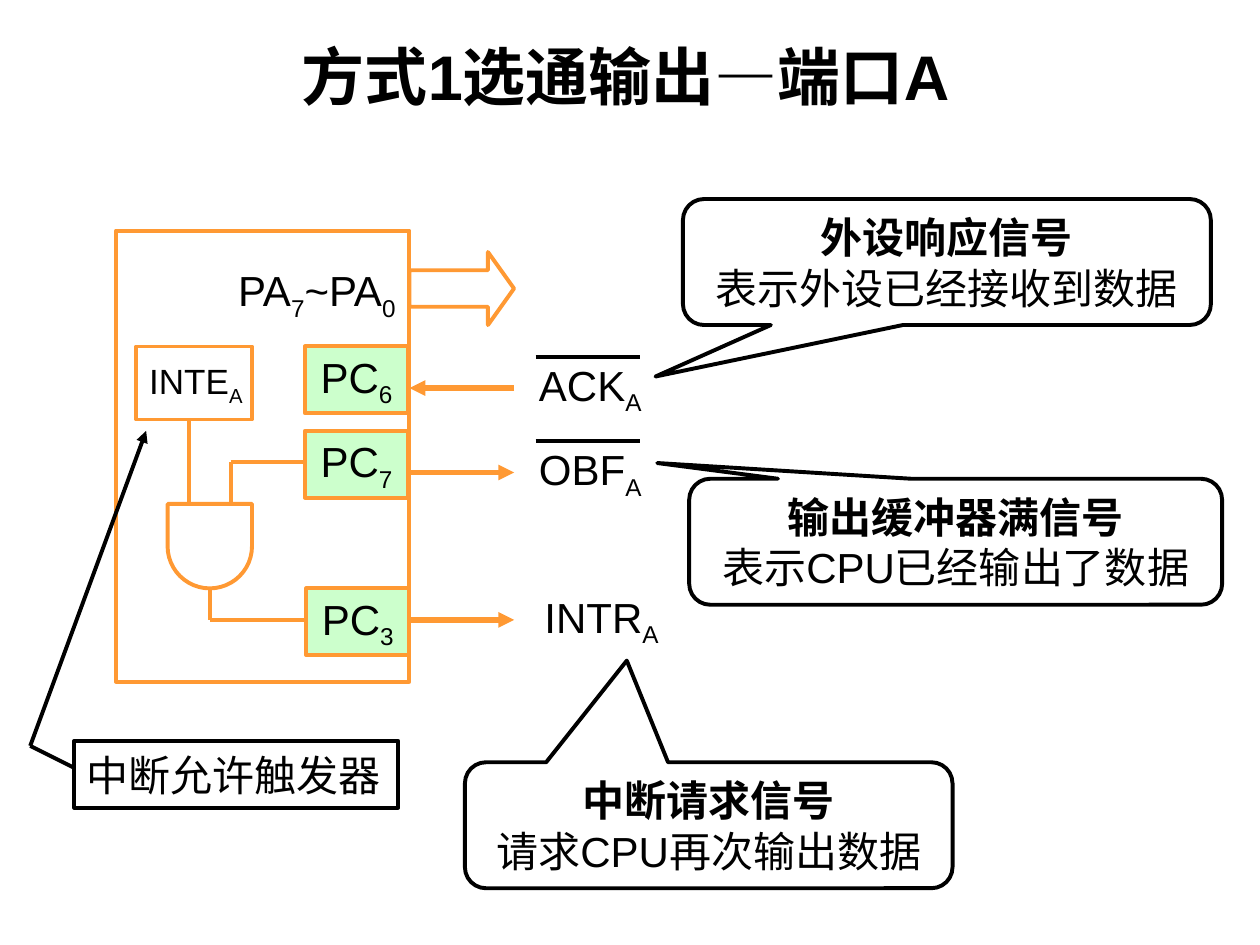
from dataclasses import dataclass
from typing import NamedTuple, Optional

from lxml.etree import SubElement
from pptx import Presentation
from pptx.dml.color import RGBColor
from pptx.enum.shapes import MSO_CONNECTOR, MSO_SHAPE
from pptx.enum.text import MSO_ANCHOR, MSO_AUTO_SIZE, PP_ALIGN
from pptx.oxml.ns import qn
from pptx.util import Inches, Pt


@dataclass(frozen=True)
class Theme:
    font: str = "Arial"
    black: RGBColor = RGBColor(0x00, 0x00, 0x00)
    white: RGBColor = RGBColor(0xFF, 0xFF, 0xFF)
    orange: RGBColor = RGBColor(0xFF, 0x99, 0x33)
    green: RGBColor = RGBColor(0xCC, 0xFF, 0xCC)
    title_size: int = 36
    body_size: int = 24
    small_size: int = 20
    outline: float = 2.25
    signal: float = 3


THEME = Theme()


class Box(NamedTuple):
    left: float
    top: float
    width: float
    height: float


class Callout(NamedTuple):
    box: Box
    tip: tuple[float, float]
    heading: str
    detail: str


class Label(NamedTuple):
    box: Box
    text: str  # parts split by "|": every second part is a subscript
    size: int = THEME.body_size


class Line(NamedTuple):
    start: tuple[float, float]
    end: tuple[float, float]
    color: RGBColor = THEME.orange
    width: float = THEME.outline
    arrow: bool = False


CALLOUTS = [
    Callout(Box(5.42, 1.58, 4.19, 1), (-0.552, 0.909), "外设响应信号", "表示外设已经接收到数据"),
    Callout(Box(5.47, 3.8, 4.23, 1), (-0.56, -0.625), "输出缓冲器满信号", "表示CPU已经输出了数据"),
    Callout(Box(3.69, 6.05, 3.87, 1), (-0.168, -1.307), "中断请求信号", "请求CPU再次输出数据"),
]

PORT_PINS = [
    Label(Box(2.42, 2.75, 0.82, 0.53), "PC|6"),
    Label(Box(2.42, 3.42, 0.82, 0.53), "PC|7"),
    Label(Box(2.43, 4.67, 0.82, 0.53), "PC|3"),
]

LABELS = [
    Label(Box(1.75, 2.08, 1.53, 0.5), "PA|7|~PA|0"),
    Label(Box(1.08, 2.83, 0.95, 0.43), "INTE|A", THEME.small_size),
    Label(Box(4.17, 2.83, 1.03, 0.5), "ACK|A"),
    Label(Box(4.17, 3.5, 1.03, 0.5), "OBF|A"),
    Label(Box(4.21, 4.67, 1.13, 0.5), "INTR|A"),
]

GATE_WIRES = [
    Line((1.67, 4.67), (1.67, 4.92)),
    Line((2.42, 4.92), (1.67, 4.92)),
    Line((1.5, 3.33), (1.5, 4)),
    Line((1.83, 3.67), (2.42, 3.67)),
    Line((1.83, 3.67), (1.83, 4)),
]

SIGNAL_ARROWS = [
    Line(start, end, width=THEME.signal, arrow=True)
    for start, end in [
        ((4.08, 3.08), (3.25, 3.08)),
        ((3.25, 3.75), (4.08, 3.75)),
        ((3.25, 4.92), (4.08, 4.92)),
    ]
]

OVERBARS = [Line((4.25, y), (5.08, y), THEME.black) for y in (2.83, 3.5)]

TRIGGER_POINTER = [
    Line((0.24, 5.92), (1.16, 3.42), THEME.black, arrow=True),
    Line((0.24, 5.92), (0.58, 6.09), THEME.black),
]


def format_run(run, size: int, bold: bool = False) -> None:
    run.font.name = THEME.font
    run.font.size = Pt(size)
    run.font.bold = bold
    run.font.color.rgb = THEME.black


def prepare_frame(shape):
    frame = shape.text_frame
    frame.word_wrap = False
    frame.auto_size = MSO_AUTO_SIZE.SHAPE_TO_FIT_TEXT
    frame.vertical_anchor = MSO_ANCHOR.MIDDLE
    return frame


def write_label(shape, text: str, size: int, align=PP_ALIGN.CENTER) -> None:
    paragraph = prepare_frame(shape).paragraphs[0]
    paragraph.alignment = align
    for index, part in enumerate(text.split("|")):
        run = paragraph.add_run()
        run.text = part
        format_run(run, size)
        if index % 2:
            run._r.get_or_add_rPr().set("baseline", "-25000")


def add_outline(slide, kind: MSO_SHAPE, box: Box, color: RGBColor = THEME.orange,
                fill: Optional[RGBColor] = None, adjustments: tuple[float, ...] = ()):
    shape = slide.shapes.add_shape(kind, *map(Inches, box))
    shape.shadow.inherit = False
    if fill is None:
        shape.fill.background()
    else:
        shape.fill.solid()
        shape.fill.fore_color.rgb = fill
    shape.line.color.rgb = color
    shape.line.width = Pt(THEME.outline)
    for index, value in enumerate(adjustments):
        shape.adjustments[index] = value
    return shape


def add_line(slide, line: Line) -> None:
    connector = slide.shapes.add_connector(
        MSO_CONNECTOR.STRAIGHT, *map(Inches, line.start + line.end))
    connector.line.color.rgb = line.color
    connector.line.width = Pt(line.width)
    if line.arrow:
        SubElement(connector.line._get_or_add_ln(), qn("a:tailEnd"), type="triangle")
    SubElement(connector._element.spPr, qn("a:effectLst"))


def add_callout(slide, callout: Callout) -> None:
    shape = add_outline(slide, MSO_SHAPE.ROUNDED_RECTANGULAR_CALLOUT, callout.box,
                        THEME.black, adjustments=(*callout.tip, 0.167))
    frame = prepare_frame(shape)
    frame.text = f"{callout.heading}\n{callout.detail}"
    for index, paragraph in enumerate(frame.paragraphs):
        paragraph.alignment = PP_ALIGN.CENTER
        format_run(paragraph.runs[0], THEME.body_size, bold=index == 0)


def add_title(slide, text: str) -> None:
    frame = slide.shapes.add_textbox(*map(Inches, Box(0.2, 0.21, 9.53, 0.77))).text_frame
    frame.word_wrap = True
    frame.vertical_anchor = MSO_ANCHOR.MIDDLE
    frame.text = text
    frame.paragraphs[0].alignment = PP_ALIGN.CENTER
    format_run(frame.paragraphs[0].runs[0], THEME.title_size, bold=True)


def main() -> None:
    presentation = Presentation()
    presentation.slide_width, presentation.slide_height = Inches(10), Inches(7.5)
    slide = presentation.slides.add_slide(presentation.slide_layouts[6])

    add_title(slide, "方式1选通输出—端口A")
    for callout in CALLOUTS:
        add_callout(slide, callout)

    # Chip body, port pins and data bus
    add_outline(slide, MSO_SHAPE.RECTANGLE, Box(0.92, 1.83, 2.33, 3.58), fill=THEME.white)
    for pin in PORT_PINS:
        shape = add_outline(slide, MSO_SHAPE.RECTANGLE, pin.box, fill=THEME.green)
        write_label(shape, pin.text, pin.size)
    add_outline(slide, MSO_SHAPE.RIGHT_ARROW, Box(3.25, 2, 0.83, 0.58),
                adjustments=(0.5, 0.357))

    # AND gate and interrupt enable flip-flop
    gate = add_outline(slide, MSO_SHAPE.FLOWCHART_DELAY, Box(1.33, 4, 0.67, 0.67))
    gate.rotation = 90
    add_outline(slide, MSO_SHAPE.RECTANGLE, Box(1.08, 2.75, 0.92, 0.58))

    # Signal names
    for label in LABELS:
        write_label(slide.shapes.add_textbox(*map(Inches, label.box)), label.text, label.size)

    # Trigger note
    note = add_outline(slide, MSO_SHAPE.RECTANGLE, Box(0.59, 5.88, 2.57, 0.53), THEME.black)
    write_label(note, "中断允许触发器", THEME.body_size, PP_ALIGN.LEFT)

    # Wires, signal arrows, overbars and pointer
    for line in GATE_WIRES + SIGNAL_ARROWS + OVERBARS + TRIGGER_POINTER:
        add_line(slide, line)

    presentation.save("out.pptx")


if __name__ == "__main__":
    main()
